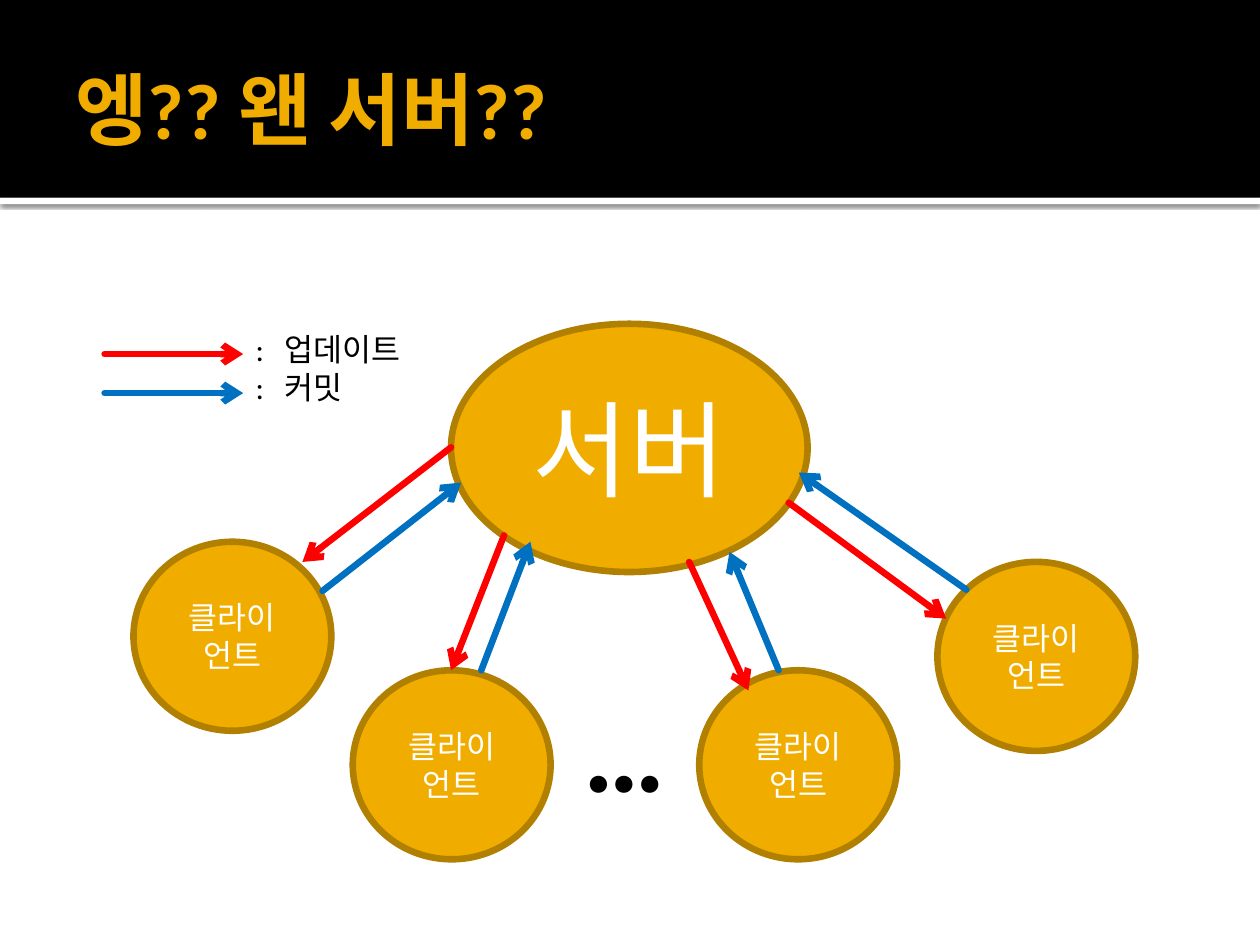
"""Builds a slide showing clients updating from and committing to one server."""
import pptx
import pptx.dml.color
import pptx.enum.shapes
import pptx.enum.text
import pptx.oxml
import pptx.oxml.ns
import pptx.util

RGBColor = pptx.dml.color.RGBColor
SHAPE = pptx.enum.shapes.MSO_SHAPE
ALIGN = pptx.enum.text.PP_ALIGN
ANCHOR = pptx.enum.text.MSO_ANCHOR

BLACK = RGBColor(0x00, 0x00, 0x00)
WHITE = RGBColor(0xFF, 0xFF, 0xFF)
AMBER = RGBColor(0xF0, 0xAD, 0x00)
BROWN = RGBColor(0xB2, 0x80, 0x00)
RED = RGBColor(0xFF, 0x00, 0x00)
BLUE = RGBColor(0x00, 0x70, 0xC0)

FONT = "Calibri"
COLS, ROWS = 100, 75
CELL = pptx.util.Inches(10) // COLS
CLIENT_W, CLIENT_H = 15.7, 15
CLIENTS = [(10.6, 43), (28, 53.2), (55.5, 53.2), (74.4, 44.6)]
UPDATES = [
    (35.8, 35.5, 24, 44.6),
    (40, 42.5, 35.8, 53.2),
    (54.7, 44.6, 59.4, 54.8),
    (62.6, 39.9, 75.1, 49.1),
]
COMMITS = [
    (25.6, 46.9, 36.6, 38.3),
    (38.2, 53.2, 42.1, 43),
    (61.8, 53.2, 57.9, 43.8),
    (76.7, 46.8, 63.4, 37.5),
]
LEGEND = [("업데이트", RED, 28.1), ("커밋", BLUE, 31.2)]


def grid(*cells):
    """Turn grid columns and rows into lengths."""
    return [pptx.util.Emu(round(c * CELL)) for c in cells]


def add_run(p, text, size, color, bold=False):
    """Append one styled run to a paragraph."""
    r = p.add_run()
    r.text = text
    r.font.name = FONT
    r.font.size = pptx.util.Pt(size)
    r.font.bold = bold
    r.font.color.rgb = color


def add_bar(s, top, height, color):
    """Add a full-width bar and return it."""
    sp = s.shapes.add_shape(SHAPE.RECTANGLE, *grid(0, top, COLS, height))
    sp.shadow.inherit = False
    sp.fill.solid()
    sp.fill.fore_color.rgb = color
    sp.line.fill.background()
    return sp


def add_drop_shadow(sp):
    """Give a shape a soft shadow falling straight down."""
    effects = sp._element.spPr.find(pptx.oxml.ns.qn("a:effectLst"))
    effects.append(pptx.oxml.parse_xml(
        f'<a:outerShdw {pptx.oxml.ns.nsdecls("a")} blurRad="31750" dist="10160" '
        'dir="5400000" algn="tl" rotWithShape="0"><a:srgbClr val="000000">'
        '<a:alpha val="60000"/></a:srgbClr></a:outerShdw>'))


def add_node(s, left, top, width, height, text, size):
    """Add a labelled ellipse."""
    sp = s.shapes.add_shape(SHAPE.OVAL, *grid(left, top, width, height))
    sp.shadow.inherit = False
    sp.fill.solid()
    sp.fill.fore_color.rgb = AMBER
    sp.line.color.rgb = BROWN
    sp.line.width = pptx.util.Pt(3.78)
    tf = sp.text_frame
    tf.word_wrap = True
    tf.vertical_anchor = ANCHOR.MIDDLE
    p = tf.paragraphs[0]
    p.alignment = ALIGN.CENTER
    add_run(p, text, size, WHITE)


def add_arrow(s, ends, color):
    """Add a round-capped line with an arrowhead at its end."""
    cx = s.shapes.add_connector(
        pptx.enum.shapes.MSO_CONNECTOR.STRAIGHT, *grid(*ends))
    cx.line.color.rgb = color
    cx.line.width = pptx.util.Pt(3.75)
    ln = cx.line._get_or_add_ln()
    ln.set("cap", "rnd")
    ns = pptx.oxml.ns.nsdecls("a")
    ln.append(pptx.oxml.parse_xml(f'<a:tailEnd {ns} type="arrow"/>'))
    cx._element.spPr.append(pptx.oxml.parse_xml(f"<a:effectLst {ns}/>"))


def add_text_frame(s, left, top, width, height):
    """Add a wrapping text box and return its text frame."""
    tf = s.shapes.add_textbox(*grid(left, top, width, height)).text_frame
    tf.word_wrap = True
    return tf


def add_title(s, text):
    """Add the title over the header bar."""
    tf = add_text_frame(s, 5, 1.7, 90, 13.7)
    tf.vertical_anchor = ANCHOR.MIDDLE
    tf.margin_right = pptx.util.Inches(0.05)
    add_run(tf.paragraphs[0], text, 45, AMBER, bold=True)


def add_legend(s):
    """Add the key to the arrow colours."""
    tf = add_text_frame(s, 19.3, 25.7, 19.7, 7.1)
    indent = grid(2.3)[0]
    for i, (label, color, row) in enumerate(LEGEND):
        add_arrow(s, (8.3, row, 19.3, row), color)
        p = tf.add_paragraph() if i else tf.paragraphs[0]
        pPr = p._p.get_or_add_pPr()
        pPr.set("marL", str(indent))
        pPr.set("indent", str(-indent))
        add_run(p, f":\t{label}", 18, BLACK)


def main():
    """Build and save the slide."""
    prs = pptx.Presentation()
    prs.slide_width, prs.slide_height = grid(COLS, ROWS)
    s = prs.slides.add_slide(prs.slide_layouts[6])
    add_drop_shadow(add_bar(s, 15.7, 0.5, WHITE))
    add_bar(s, 0, 15.7, BLACK)
    add_title(s, "엥?? 왠 서버??")
    add_node(s, 35.8, 25.7, 28.3, 19.7, "서버", 60)
    for left, top in CLIENTS:
        add_node(s, left, top, CLIENT_W, CLIENT_H, "클라이언트", 18)
    tf = add_text_frame(s, 45.3, 53.2, 10.2, 12.1)
    add_run(tf.paragraphs[0], "…", 66, BLACK, bold=True)
    for color, arrows in ((RED, UPDATES), (BLUE, COMMITS)):
        for ends in arrows:
            add_arrow(s, ends, color)
    add_legend(s)
    prs.save("out.pptx")


if __name__ == "__main__":
    main()
